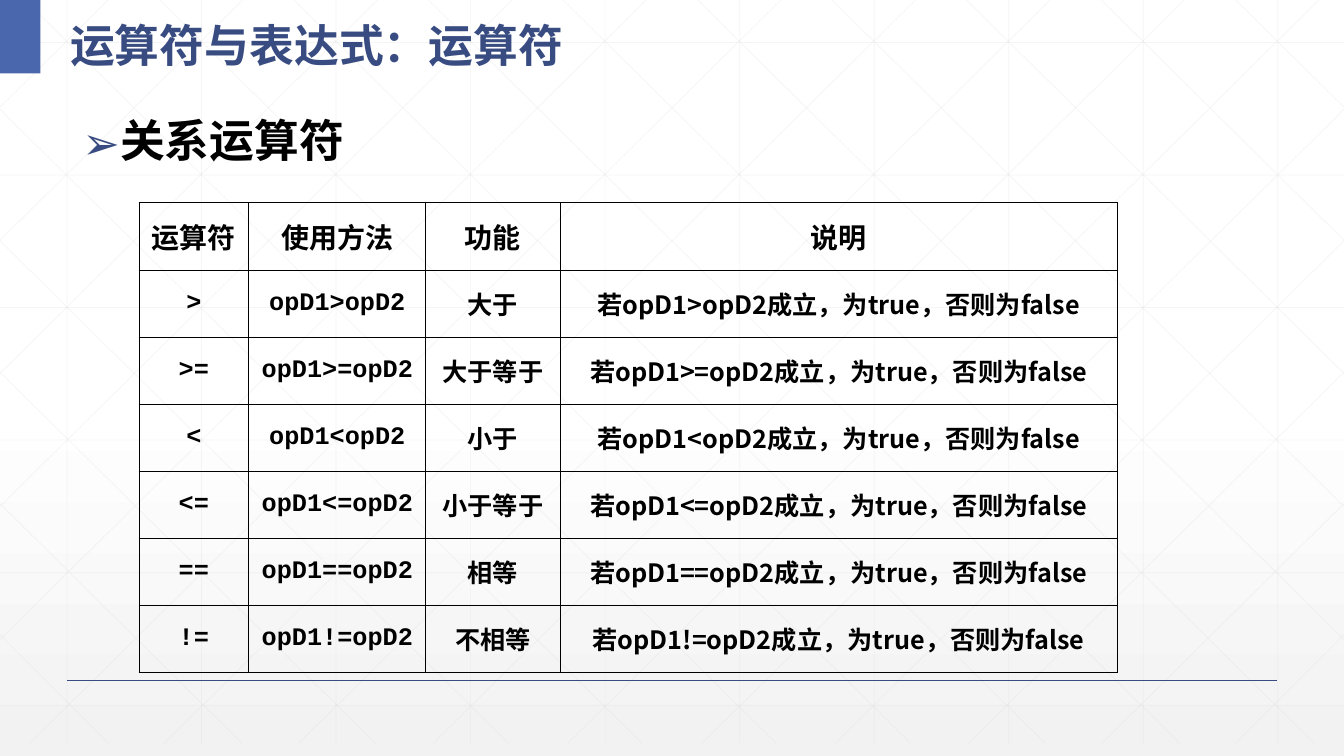
from lxml import etree
from pptx import Presentation
from pptx.dml.color import RGBColor
from pptx.enum.shapes import MSO_CONNECTOR, MSO_SHAPE
from pptx.enum.text import MSO_ANCHOR, PP_ALIGN
from pptx.oxml import parse_xml
from pptx.oxml.ns import nsdecls, qn
from pptx.util import Cm, Pt

LINE = MSO_CONNECTOR.STRAIGHT
RECT = MSO_SHAPE.RECTANGLE
MIDDLE = MSO_ANCHOR.MIDDLE
CENTER = PP_ALIGN.CENTER
SANS = "Noto Sans CJK SC"
MONO = "Courier New"
NAVY = "384C81"
WIDE, HIGH, FOOT = 33.87, 19.05, 18.73

tint = RGBColor.from_string


def write(para, words, size=32, hue="000000", face=SANS, align=None):
    para.alignment = align
    run = para.add_run()
    run.text = words
    run.font.size = Pt(size)
    run.font.bold = True
    run.font.color.rgb = tint(hue)
    run.font.name = face
    etree.SubElement(run.font._element, qn("a:ea"), typeface=SANS)


def rule(x1, y1, x2, y2, hue="D9D9D9", width=0.5, alpha=25):
    link = slide.shapes.add_connector(LINE, Cm(x1), Cm(y1), Cm(x2), Cm(y2))
    link.line.color.rgb = tint(hue)
    link.line.width = Pt(width)
    props = link._element.spPr
    color = props.find(".//" + qn("a:srgbClr"))
    etree.SubElement(color, qn("a:alpha"), val=str(alpha * 1000))
    etree.SubElement(props, qn("a:effectLst"))


deck = Presentation()
deck.slide_width, deck.slide_height = Cm(WIDE), Cm(HIGH)
slide = deck.slides.add_slide(deck.slide_layouts[6])

back = slide.background.fill
back.gradient()
grad = slide.background._cSld.find(".//" + qn("a:gradFill"))
stops = grad.find(qn("a:gsLst"))
for stop in list(stops):
    stops.remove(stop)
for place, hue in [(0, "FFFFFF"), (53, "FFFFFF"), (100, "F2F2F2")]:
    stop = etree.SubElement(stops, qn("a:gs"), pos=str(place * 1000))
    etree.SubElement(stop, qn("a:srgbClr"), val=hue)
grad.find(qn("a:lin")).set("ang", "5400000")

for i in range(10):
    x = 1.69 + 3.39 * i
    rule(x, 0, x, FOOT)
for i in range(6):
    y = 1.07 + 3.34 * i
    rule(0, y, WIDE, y)

slants = []
for i in range(10):
    x = 0.63 + 3.39 * i
    run = min(18.93, WIDE - x)
    slants.append((x, 0, x + run, FOOT * run / 18.93))
for i in range(5):
    slants.append((16.18 - 3.36 * i, FOOT, 0, 2.76 + 3.31 * i))
for x1, y1, x2, y2 in slants:
    rule(x1, y1, x2, y2)
    rule(WIDE - x1, y1, WIDE - x2, y2)

rule(1.69, 17.15, 32.17, 17.15, NAVY, 1, 100)

block = slide.shapes.add_shape(RECT, 0, 0, Cm(1.02), Cm(1.85))
block.shadow.inherit = False
block.fill.solid()
block.fill.fore_color.rgb = tint("4A66AC")
block.line.fill.background()

title = slide.shapes.add_textbox(Cm(1.6), 0, Cm(14.45), Cm(1.85)).text_frame
title.word_wrap = True
title.vertical_anchor = MIDDLE
title.margin_left = Cm(0.17)
title.paragraphs[0].line_spacing = 1.3
write(title.paragraphs[0], "运算符与表达式：运算符", hue=NAVY)

body = slide.shapes.add_textbox(Cm(1.83), Cm(2.84), Cm(29.82), Cm(1.8)).text_frame
body.word_wrap = True
body.margin_top = 0
point = body.paragraphs[0]
props = point._p.get_or_add_pPr()
props.set("marL", str(Cm(0.64)))
props.set("indent", str(-Cm(0.64)))
color = etree.SubElement(props, qn("a:buClr"))
etree.SubElement(color, qn("a:srgbClr"), val=NAVY)
etree.SubElement(props, qn("a:buFont"), typeface=SANS)
etree.SubElement(props, qn("a:buChar"), char="➢")
write(point, "关系运算符")

rows = [("运算符", "使用方法", "功能", "说明")]
for sign, role in [(">", "大于"), (">=", "大于等于"), ("<", "小于"),
                   ("<=", "小于等于"), ("==", "相等"), ("!=", "不相等")]:
    term = f"opD1{sign}opD2"
    rows.append((sign, term, role, f"若{term}成立，为true，否则为false"))

widths = [2.77, 4.46, 3.38, 14.05]
table = slide.shapes.add_table(len(rows), len(widths), Cm(3.5), Cm(5.11),
                               Cm(sum(widths)), Cm(1.69 * len(rows))).table
table.first_row = table.horz_banding = False
for col, width in zip(table.columns, widths):
    col.width = Cm(width)
for r, row in enumerate(rows):
    table.rows[r].height = Cm(1.69)
    for c, words in enumerate(row):
        cell = table.cell(r, c)
        cell.fill.background()
        cell.vertical_anchor = MIDDLE
        cell.margin_left = cell.margin_right = 0
        cell.margin_top = cell.margin_bottom = 0
        props = cell._tc.get_or_add_tcPr()
        for n, side in enumerate("LRTB"):
            props.insert(n, parse_xml(
                f'<a:ln{side} {nsdecls("a")} w="6350"><a:solidFill>'
                f'<a:srgbClr val="000000"/></a:solidFill></a:ln{side}>'))
        write(cell.text_frame.paragraphs[0], words, size=18 if r else 20,
              face=MONO if r and c < 3 else SANS, align=CENTER)

deck.save("out.pptx")
